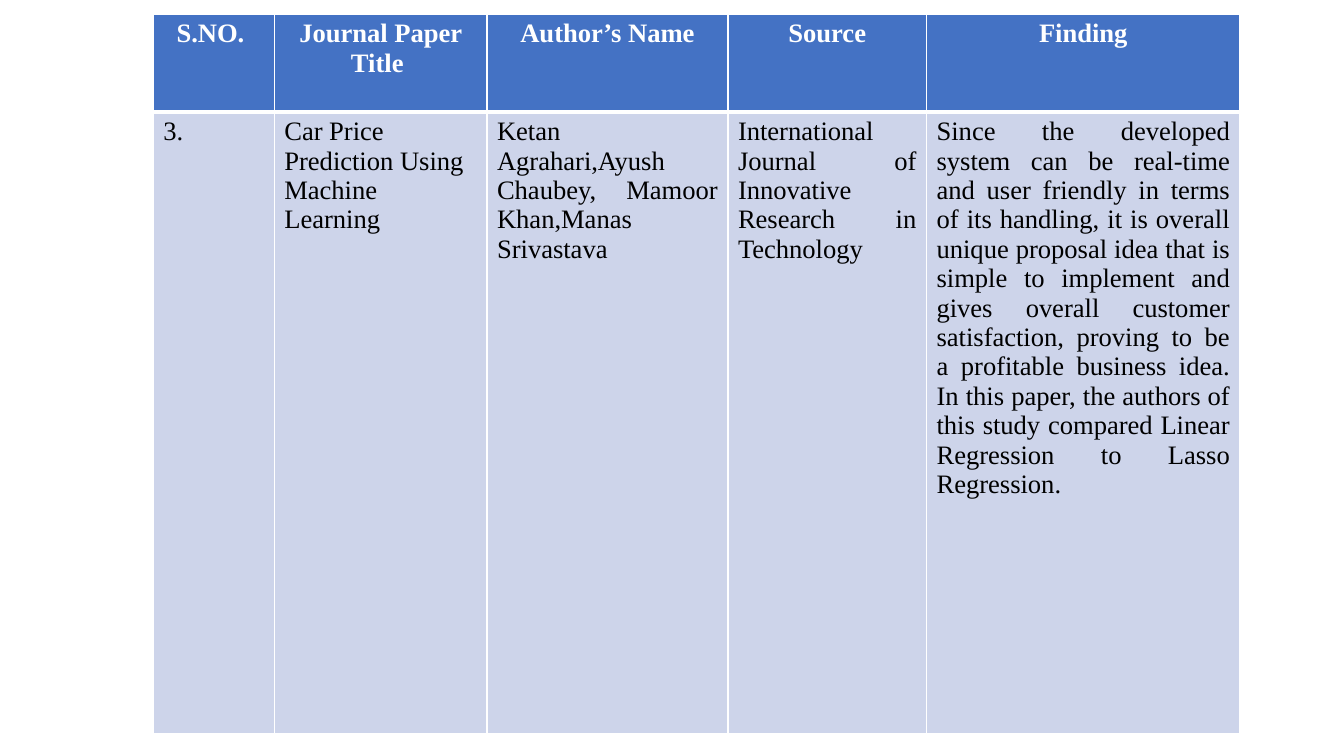
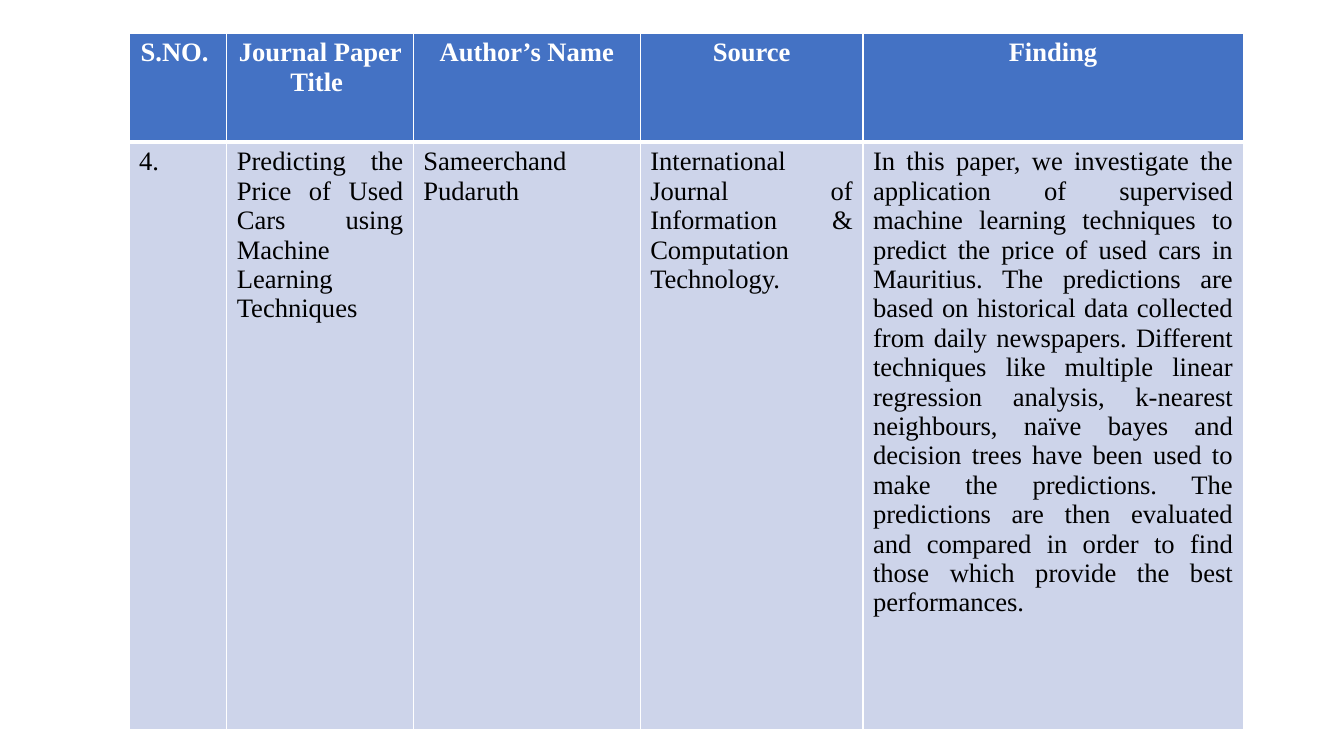
from dataclasses import dataclass

from lxml.etree import SubElement
from pptx import Presentation
from pptx.dml.color import RGBColor
from pptx.enum.text import PP_ALIGN
from pptx.oxml.ns import qn
from pptx.util import Inches, Pt


@dataclass(frozen=True)
class Theme:
    font: str = "Times New Roman"
    text_size: int = 19
    header_fill: str = "4472C4"
    body_fill: str = "CDD4EA"
    header_text: str = "FFFFFF"
    body_text: str = "000000"
    border: str = "FFFFFF"
    thin: int = 1
    thick: int = 3


HEADINGS = ["S.NO. ", "Journal Paper Title ", "Author’s Name", "Source", "Finding"]


class Deck:
    def __init__(self, theme):
        self.theme = theme
        self.presentation = Presentation()
        self.presentation.slide_width = Inches(13.33)
        self.presentation.slide_height = Inches(7.5)
        self.slide = None

    def add_slide(self):
        blank_layout = self.presentation.slide_layouts[6]
        self.slide = self.presentation.slides.add_slide(blank_layout)

    def add_review_table(self, left, top, widths, heights, entry, left_column):
        frame = self.slide.shapes.add_table(
            len(heights), len(widths), Inches(left), Inches(top),
            Inches(sum(widths)), Inches(sum(heights)))
        table = frame.table
        for column, width in zip(table.columns, widths):
            column.width = Inches(width)
        for row, height in zip(table.rows, heights):
            row.height = Inches(height)
        for index, (heading, text) in enumerate(zip(HEADINGS, entry)):
            self.format_cell(table.cell(0, index), heading, PP_ALIGN.CENTER, True)
            alignment = PP_ALIGN.LEFT if index == left_column else PP_ALIGN.JUSTIFY
            self.format_cell(table.cell(1, index), text, alignment, False)

    def format_cell(self, cell, text, alignment, is_header):
        theme = self.theme
        self.add_borders(cell, "lnB" if is_header else "lnT")
        cell.fill.solid()
        cell.fill.fore_color.rgb = RGBColor.from_string(
            theme.header_fill if is_header else theme.body_fill)
        cell.text_frame.text = text
        paragraph = cell.text_frame.paragraphs[0]
        paragraph.alignment = alignment
        font = paragraph.runs[0].font
        font.name = theme.font
        font.size = Pt(theme.text_size)
        font.bold = is_header
        font.color.rgb = RGBColor.from_string(
            theme.header_text if is_header else theme.body_text)

    def add_borders(self, cell, thick_side):
        properties = cell._tc.get_or_add_tcPr()
        for side in ("lnL", "lnR", "lnT", "lnB"):
            width = self.theme.thick if side == thick_side else self.theme.thin
            line = SubElement(properties, qn(f"a:{side}"), w=str(Pt(width)))
            fill = SubElement(line, qn("a:solidFill"))
            SubElement(fill, qn("a:srgbClr"), val=self.theme.border)

    def save(self):
        self.presentation.save("out.pptx")


deck = Deck(Theme())

deck.add_slide()
deck.add_review_table(
    1.52, 0.14, [1.2, 2.11, 2.39, 1.97, 3.11], [0.97, 6.17],
    ["3.",
     "Car Price Prediction Using Machine Learning",
     "Ketan Agrahari,Ayush Chaubey, Mamoor Khan,Manas Srivastava",
     "International Journal of Innovative Research in Technology",
     "Since the developed system can be real-time and user friendly in terms of "
     "its handling, it is overall unique proposal idea that is simple to implement "
     "and gives overall customer satisfaction, proving to be a profitable business "
     "idea. In this paper, the authors of this study compared Linear Regression to "
     "Lasso Regression."],
    left_column=1)

deck.add_slide()
deck.add_review_table(
    1.28, 0.33, [0.97, 1.85, 2.25, 2.21, 3.77], [1.08, 5.83],
    ["4.",
     "Predicting the Price of Used Cars using Machine Learning Techniques ",
     "Sameerchand Pudaruth",
     "International Journal of Information & Computation Technology.",
     "In this paper, we investigate the application of supervised machine learning "
     "techniques to predict the price of used cars in Mauritius. The predictions are "
     "based on historical data collected from daily newspapers. Different techniques "
     "like multiple linear regression analysis, k-nearest neighbours, naïve bayes and "
     "decision trees have been used to make the predictions. The predictions are then "
     "evaluated and compared in order to find those which provide the best "
     "performances."],
    left_column=2)

deck.save()
